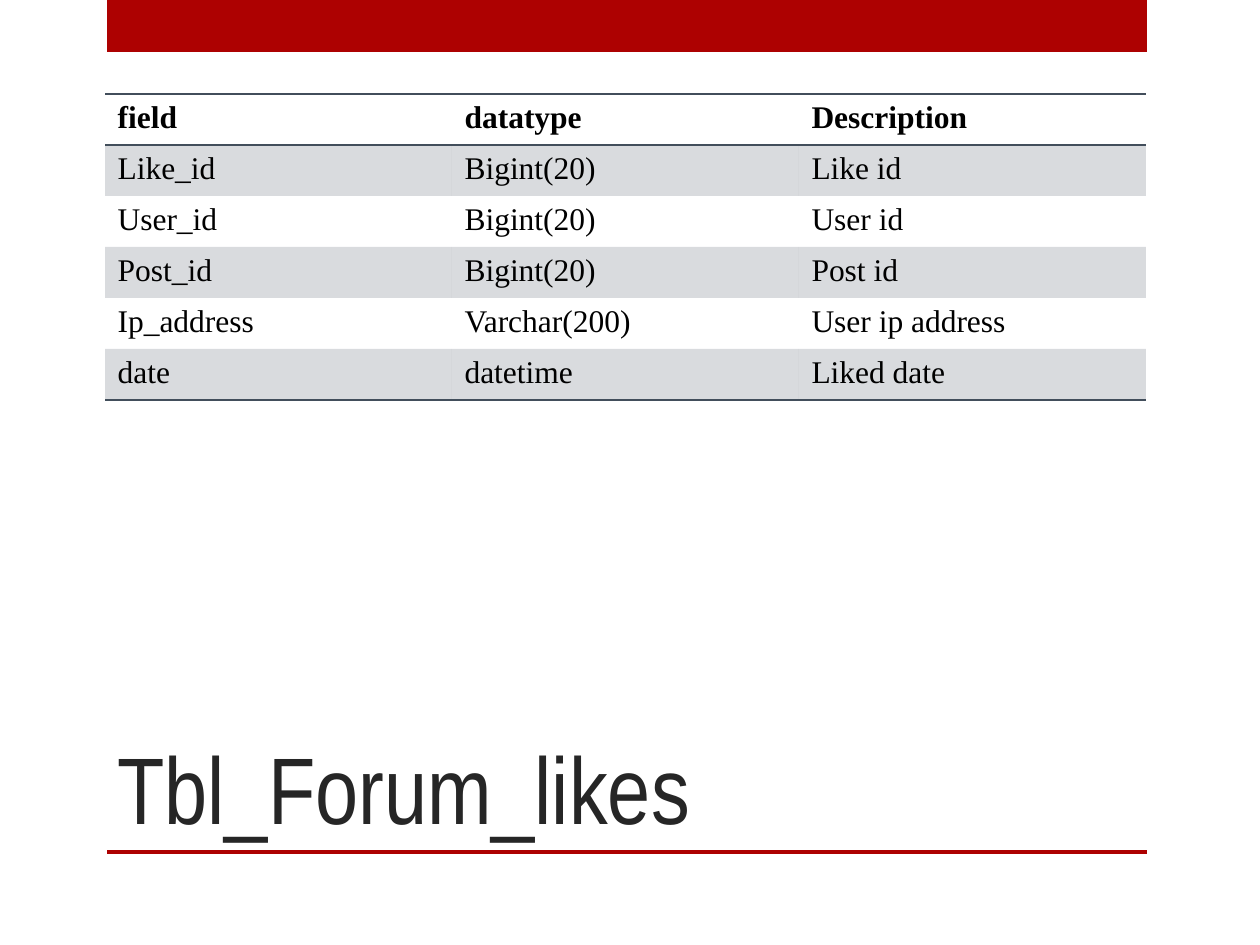
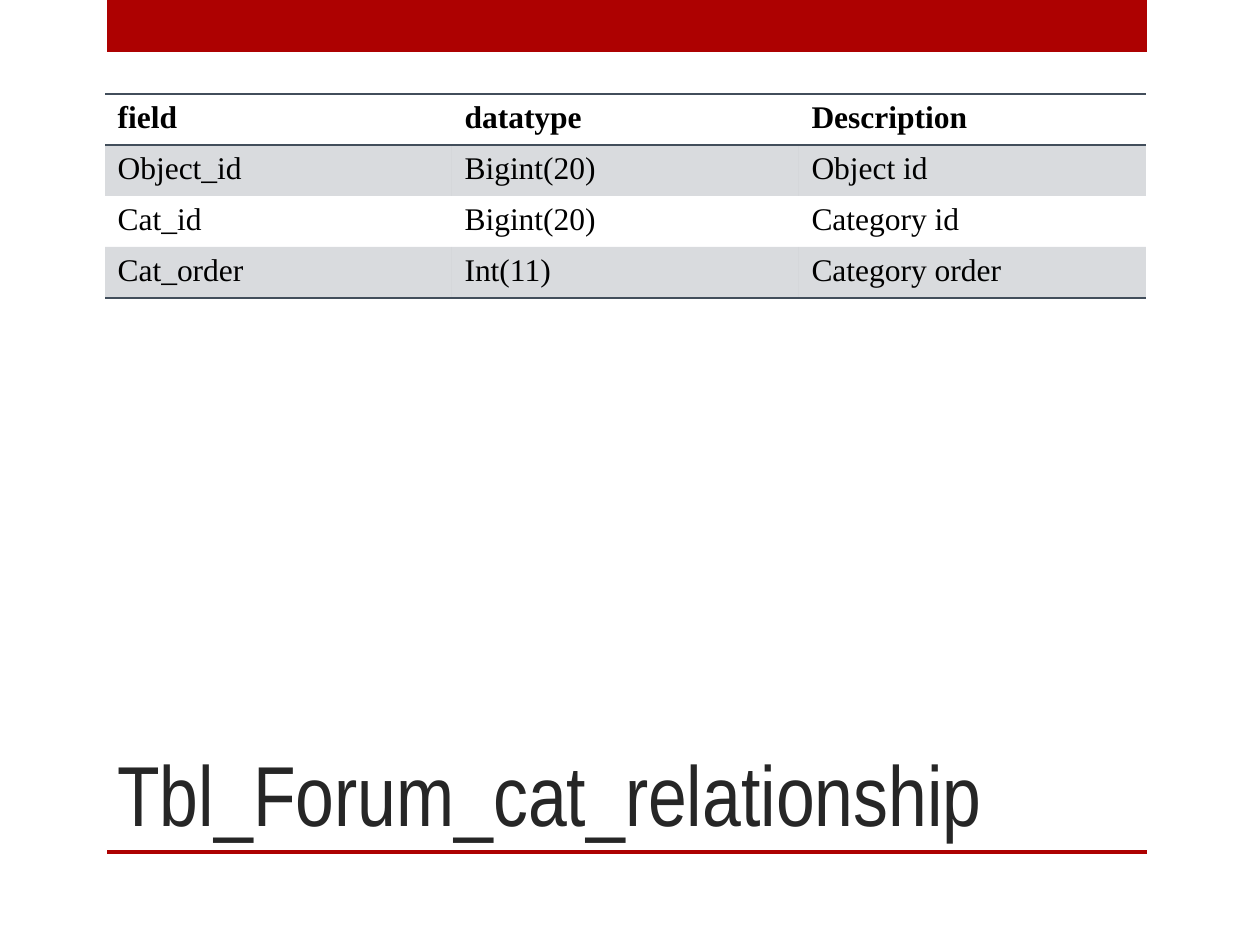
from lxml.etree import SubElement
from pptx import Presentation
from pptx.dml.color import RGBColor
from pptx.enum.shapes import MSO_SHAPE
from pptx.enum.text import MSO_ANCHOR
from pptx.oxml import parse_xml
from pptx.oxml.ns import nsdecls, qn
from pptx.util import Pt

# Content
HEADER = ("field", "datatype", "Description")
PAGES = [
    {
        "title": "Tbl_Forum_likes", "title_size": 54, "title_width": 935,
        "rows": [
            ("Like_id", "Bigint(20)", "Like id"),
            ("User_id", "Bigint(20)", "User id"),
            ("Post_id", "Bigint(20)", "Post id"),
            ("Ip_address", "Varchar(200)", "User ip address"),
            ("date", "datetime", "Liked date"),
        ],
    },
    {
        "title": "Tbl_Forum_cat_relationship", "title_size": 48.6, "title_width": 1092,
        "rows": [
            ("Object_id", "Bigint(20)", "Object id"),
            ("Cat_id", "Bigint(20)", "Category id"),
            ("Cat_order", "Int(11)", "Category order"),
        ],
    },
]

# Shared look, lengths in px
PX = 914400 // 126
RED = RGBColor(0xAD, 0x01, 0x01)
SLATE = RGBColor(0x42, 0x4E, 0x5B)
INK = RGBColor(0x26, 0x26, 0x26)
BLACK = RGBColor(0, 0, 0)
TITLE_FONT = {"name": "Arial Narrow"}
CELL_FONT = {"name": "Times New Roman", "size": Pt(18)}
BANDS = [(107, 0, 1040, 52), (107, 850, 1040, 4)]
TABLE_LEFT, TABLE_TOP, COLUMN_WIDTH, ROW_HEIGHT = 105, 94, 347, 51
TITLE_TOP, TITLE_HEIGHT = 630, 220
NO_STYLE = "{2D5ABB26-0587-4C30-8999-92F81FD0307C}"


def px(*lengths):
    return [length * PX for length in lengths]


def set_font(font, color, **values):
    font.color.rgb = color
    for name, value in values.items():
        setattr(font, name, value)


def add_band(page, bounds):
    band = page.shapes.add_shape(MSO_SHAPE.RECTANGLE, *px(*bounds))
    band.shadow.inherit = False
    band.fill.solid()
    band.fill.fore_color.rgb = RED
    band.line.fill.background()


def add_title(page, text, size, width):
    box = page.shapes.add_textbox(*px(TABLE_LEFT, TITLE_TOP, width, TITLE_HEIGHT))
    frame = box.text_frame
    frame.word_wrap = True
    frame.vertical_anchor = MSO_ANCHOR.BOTTOM
    span = frame.paragraphs[0].add_run()
    span.text = text
    set_font(span.font, INK, size=Pt(size), **TITLE_FONT)


def add_border(cell, side):
    line = parse_xml(
        f'<a:{side} {nsdecls("a")} w="{Pt(1)}"><a:solidFill>'
        f'<a:srgbClr val="{SLATE}"/></a:solidFill></a:{side}>')
    cell._tc.get_or_add_tcPr().insert(0, line)


def shade(cell):
    cell.fill.solid()
    cell.fill.fore_color.rgb = SLATE
    color = cell._tc.tcPr.find(".//" + qn("a:srgbClr"))
    SubElement(color, qn("a:alpha"), val="20000")


def add_field_table(page, rows):
    count, columns = len(rows), len(HEADER)
    frame = page.shapes.add_table(count, columns, *px(
        TABLE_LEFT, TABLE_TOP, columns * COLUMN_WIDTH, count * ROW_HEIGHT))
    table = frame.table
    table.first_row = table.horz_banding = False
    table._tbl.tblPr.find(qn("a:tableStyleId")).text = NO_STYLE
    for r, values in enumerate(rows):
        for c, value in enumerate(values):
            cell = table.cell(r, c)
            span = cell.text_frame.paragraphs[0].add_run()
            span.text = value
            set_font(span.font, BLACK, bold=r == 0, **CELL_FONT)
            # Every other row is shaded, starting below the header
            if r % 2:
                shade(cell)
            else:
                cell.fill.background()
            # Rules frame the header and close the table
            if r in (0, count - 1):
                add_border(cell, "lnB")
            if r == 0:
                add_border(cell, "lnT")


def main():
    deck = Presentation()
    deck.slide_width, deck.slide_height = px(1260, 945)
    for content in PAGES:
        page = deck.slides.add_slide(deck.slide_layouts[6])
        for bounds in BANDS:
            add_band(page, bounds)
        add_title(page, content["title"], content["title_size"], content["title_width"])
        add_field_table(page, [HEADER] + content["rows"])
    deck.save("out.pptx")


if __name__ == "__main__":
    main()
